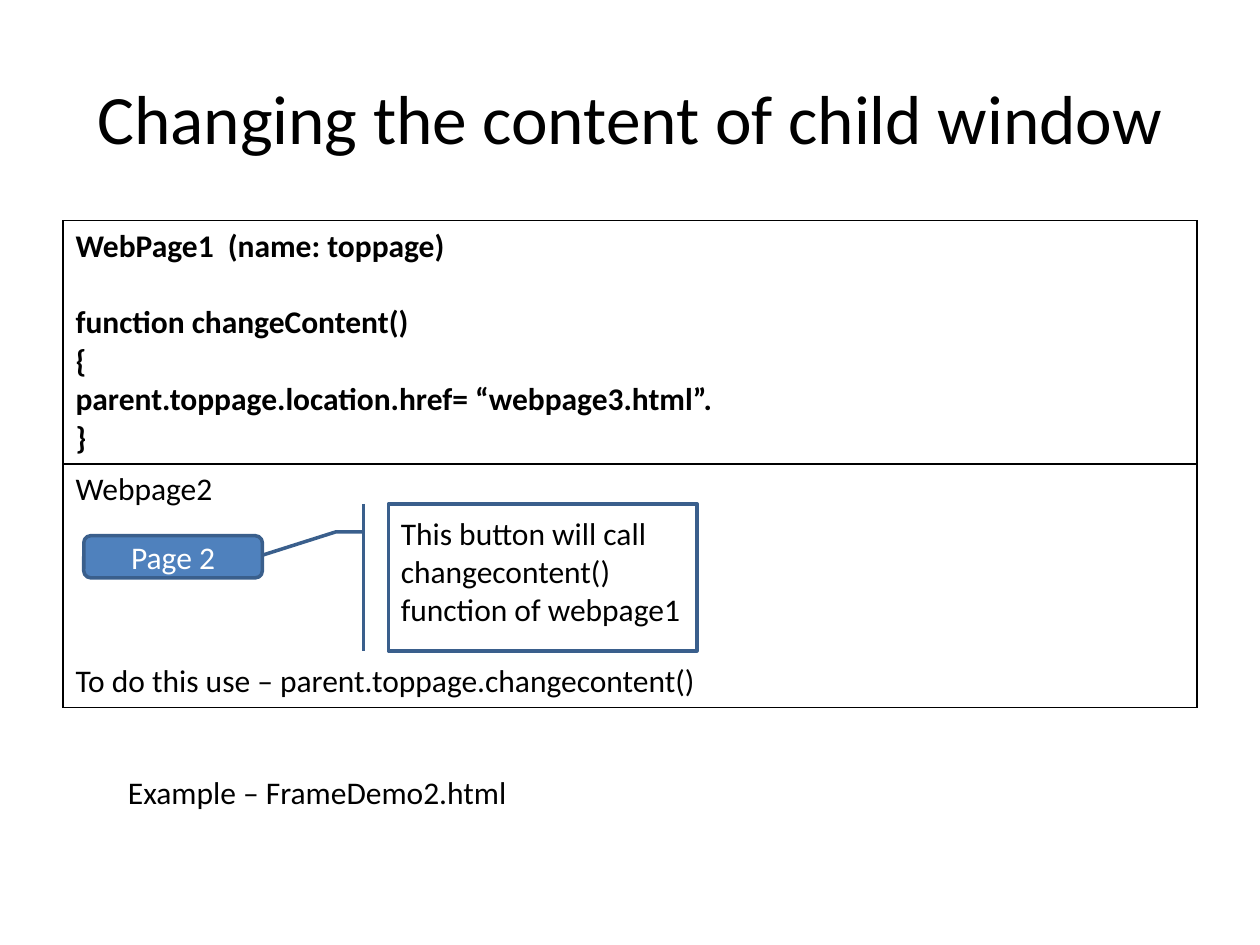
from dataclasses import dataclass
from typing import Any

from lxml.etree import SubElement
from pptx import Presentation
from pptx.dml.color import RGBColor
from pptx.enum.shapes import MSO_SHAPE as Preset
from pptx.enum.text import MSO_ANCHOR as Anchor, MSO_AUTO_SIZE as Fit, PP_ALIGN as Align
from pptx.oxml.ns import qn
from pptx.util import Cm, Pt

COLORS = {"ink": "000000", "paper": "FFFFFF", "button": "4F81BD", "edge": "3A5F8C"}
LINE_PITCH = 22


@dataclass(frozen=True)
class Line:
    text: str
    blank_before: int = 0


@dataclass(frozen=True)
class Place:
    left: float
    top: float
    width: float
    height: float

    def lengths(self) -> tuple:
        return Cm(self.left), Cm(self.top), Cm(self.width), Cm(self.height)


@dataclass(frozen=True)
class Label:
    place: Place
    text: str
    wrap: bool


@dataclass(frozen=True)
class Figure:
    preset: Any
    place: Place
    fill: str = ""
    text: str = ""
    adjustments: tuple = ()


ROWS = (
    (True, (
        Line("WebPage1  (name: toppage)"),
        Line("function changeContent()", 1),
        Line("{"),
        Line("parent.toppage.location.href= “webpage3.html”."),
        Line("}"),
    )),
    (False, (
        Line("Webpage2"),
        Line("To do this use – parent.toppage.changecontent()", 4),
    )),
)
TABLE_PLACE = Place(1.27, 4.45, 22.86, 9.8)

FIGURES = (
    Figure(Preset.ROUNDED_RECTANGLE, Place(1.69, 10.8, 3.6, 0.85), "button", "Page 2"),
    Figure(Preset.LINE_CALLOUT_2_BORDER_AND_ACCENT_BAR, Place(7.83, 10.16, 6.22, 2.96),
           adjustments=(0.19, -0.08, 0.19, -0.17, 0.35, -0.41)),
)
LABELS = (
    Label(Place(7.83, 10.24, 6.55, 2.56),
          "This button will call changecontent() function of webpage1", True),
    Label(Place(2.33, 15.45, 8.23, 1.03), "Example – FrameDemo2.html", False),
)


def color(name: str) -> RGBColor:
    return RGBColor.from_string(COLORS[name])


def apply(target: Any, values: dict) -> None:
    for name, value in values.items():
        setattr(target, name, value)


def write(frame: Any, lines: tuple, ink: str = "ink", size: float = 18,
          bold: bool = False, align: Any = Align.LEFT) -> None:
    for index, line in enumerate(lines):
        para = frame.add_paragraph() if index else frame.paragraphs[0]
        apply(para, {"alignment": align, "space_before": Pt(line.blank_before * LINE_PITCH)})
        span = para.add_run()
        span.text = line.text
        apply(span.font, {"name": "Calibri", "size": Pt(size), "bold": bold})
        span.font.color.rgb = color(ink)


def add_borders(cell: Any) -> None:
    properties = cell._tc.get_or_add_tcPr()
    for index, side in enumerate(("lnL", "lnR", "lnT", "lnB")):
        border = SubElement(properties, qn(f"a:{side}"), w=str(Pt(1)))
        SubElement(SubElement(border, qn("a:solidFill")), qn("a:srgbClr"), val=COLORS["ink"])
        properties.insert(index, border)


def add_title(page: Any) -> None:
    title = page.shapes.title
    place = Place(1.27, 0.76, 22.86, 3.18)
    apply(title, dict(zip(("left", "top", "width", "height"), place.lengths())))
    apply(title.text_frame, {"vertical_anchor": Anchor.MIDDLE, "auto_size": Fit.NONE,
                             "word_wrap": True})
    write(title.text_frame, (Line("Changing the content of child window"),),
          size=39.6, align=Align.CENTER)


def add_code_table(page: Any) -> None:
    table = page.shapes.add_table(len(ROWS), 1, *TABLE_PLACE.lengths()).table
    apply(table, {"first_row": False, "horz_banding": False})
    for index, (bold, lines) in enumerate(ROWS):
        table.rows[index].height = Cm(TABLE_PLACE.height / len(ROWS))
        cell = table.cell(index, 0)
        cell.fill.background()
        add_borders(cell)
        write(cell.text_frame, lines, bold=bold)


def add_figure(page: Any, figure: Figure) -> None:
    shape = page.shapes.add_shape(figure.preset, *figure.place.lengths())
    shape.shadow.inherit = False
    for index, value in enumerate(figure.adjustments):
        shape.adjustments[index] = value
    if figure.fill:
        shape.fill.solid()
        shape.fill.fore_color.rgb = color(figure.fill)
    else:
        shape.fill.background()
    shape.line.color.rgb = color("edge")
    shape.line.width = Pt(2)
    if figure.text:
        shape.text_frame.vertical_anchor = Anchor.MIDDLE
        write(shape.text_frame, (Line(figure.text),), ink="paper", align=Align.CENTER)


def add_label(page: Any, label: Label) -> None:
    box = page.shapes.add_textbox(*label.place.lengths())
    apply(box.text_frame, {"word_wrap": label.wrap, "auto_size": Fit.SHAPE_TO_FIT_TEXT})
    write(box.text_frame, (Line(label.text),))


def main() -> None:
    deck = Presentation()
    apply(deck, {"slide_width": Cm(25.4), "slide_height": Cm(19.05)})
    page = deck.slides.add_slide(deck.slide_layouts[5])
    add_title(page)
    add_code_table(page)
    for figure in FIGURES:
        add_figure(page, figure)
    for label in LABELS:
        add_label(page, label)
    deck.save("out.pptx")


main()
